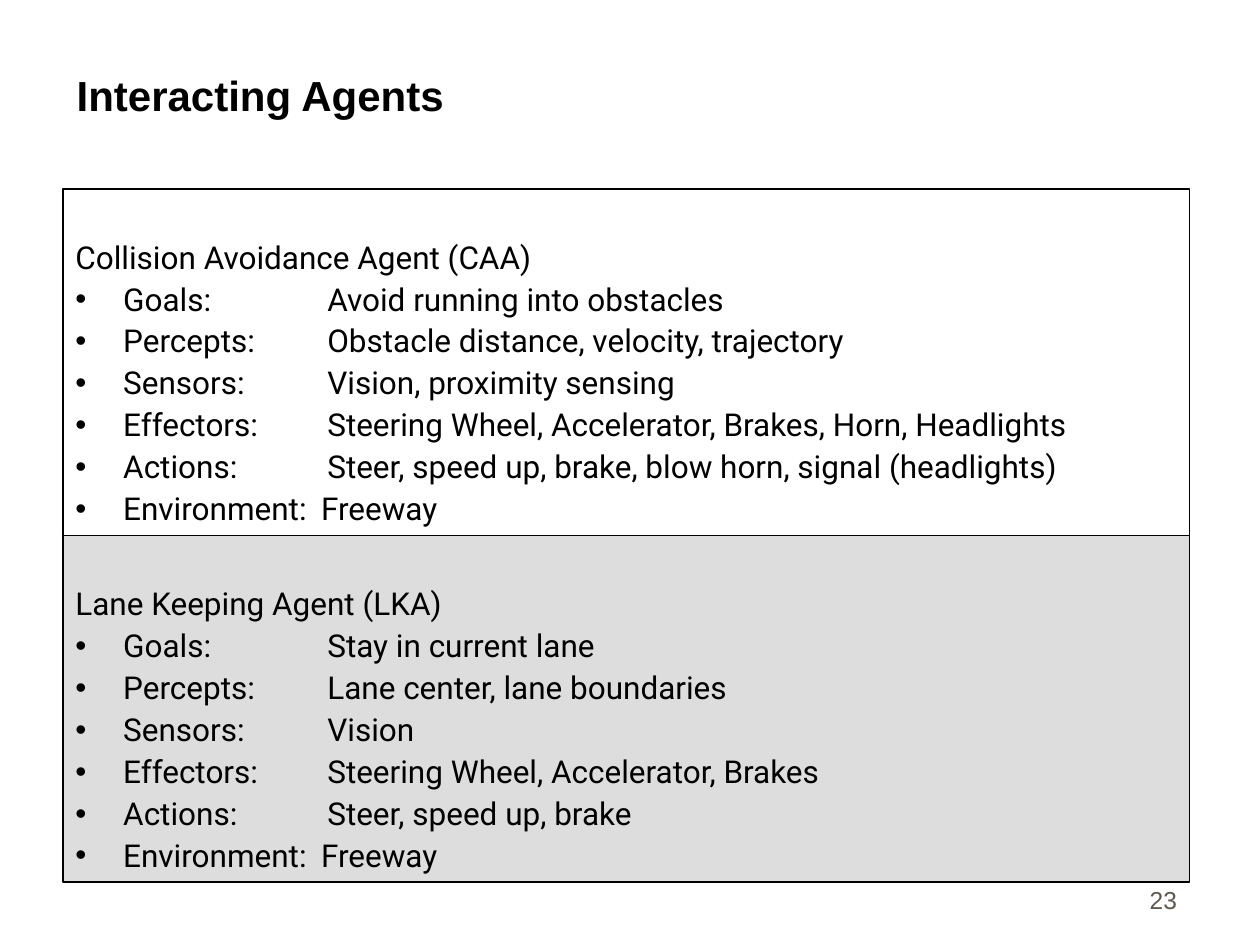
"""Build the Interacting Agents slide with one panel per driving agent."""
from dataclasses import dataclass
from typing import Optional

from lxml.etree import SubElement
from pptx import Presentation
from pptx.dml.color import RGBColor
from pptx.enum.shapes import MSO_SHAPE
from pptx.enum.text import MSO_ANCHOR, PP_ALIGN
from pptx.oxml.ns import qn
from pptx.util import Inches, Pt

COLORS = {"ink": "000000", "shade": "DDDDDD", "page": "5E574E"}
TRAITS = ("Goals", "Percepts", "Sensors", "Effectors", "Actions", "Environment")
PANEL_LEFT, PANEL_TOP, PANEL_WIDTH, PANEL_HEIGHT = 0.5, 1.5, 8.94, 2.75
INDENT = 0.38
VALUE_TAB, ENVIRONMENT_TAB = 2.0, 1.95


@dataclass(frozen=True)
class Agent:
    name: str
    values: tuple[str, ...]
    fill: Optional[str] = None


@dataclass(frozen=True)
class Label:
    text: str
    left: float
    top: float
    width: float
    height: float
    size: float
    color: str
    bold: bool = False
    align: PP_ALIGN = PP_ALIGN.LEFT


AGENTS = (
    Agent("Collision Avoidance Agent (CAA)", (
        "Avoid running into obstacles",
        "Obstacle distance, velocity, trajectory",
        "Vision, proximity sensing",
        "Steering Wheel, Accelerator, Brakes, Horn, Headlights",
        "Steer, speed up, brake, blow horn, signal (headlights)",
        "Freeway",
    )),
    Agent("Lane Keeping Agent (LKA)", (
        "Stay in current lane",
        "Lane center, lane boundaries",
        "Vision",
        "Steering Wheel, Accelerator, Brakes",
        "Steer, speed up, brake",
        "Freeway",
    ), "shade"),
)
LABELS = (
    Label("Interacting Agents", 0.51, 0.25, 8.92, 0.75, 24, "ink", bold=True),
    Label("23", 7.36, 6.81, 2.08, 0.5, 14, "page", align=PP_ALIGN.RIGHT),
)


def rgb(name: str) -> RGBColor:
    """Return the named colour."""
    return RGBColor.from_string(COLORS[name])


def style_font(paragraph, font: str, size: float, color: str, bold: bool = False) -> None:
    """Format every run of a paragraph."""
    for run in paragraph.runs:
        run.font.name = font
        run.font.size = Pt(size)
        run.font.bold = bold
        run.font.color.rgb = rgb(color)


def add_bullet(paragraph, tab: float) -> None:
    """Give a paragraph a hanging bullet and a tab stop for its value."""
    properties = paragraph._p.get_or_add_pPr()
    properties.set("marL", str(Inches(INDENT)))
    properties.set("indent", str(-Inches(INDENT)))
    bullet_color = SubElement(properties, qn("a:buClr"))
    SubElement(bullet_color, qn("a:srgbClr"), val=COLORS["ink"])
    SubElement(properties, qn("a:buFont"), typeface="Arial")
    SubElement(properties, qn("a:buChar"), char="•")
    stops = SubElement(properties, qn("a:tabLst"))
    SubElement(stops, qn("a:tab"), pos=str(Inches(tab)), algn="l")


def draw_label(slide, label: Label) -> None:
    """Draw a single line of text resting on the bottom of its box."""
    box = slide.shapes.add_textbox(Inches(label.left), Inches(label.top),
                                   Inches(label.width), Inches(label.height))
    frame = box.text_frame
    frame.word_wrap = True
    frame.vertical_anchor = MSO_ANCHOR.BOTTOM
    frame.text = label.text
    frame.paragraphs[0].alignment = label.align
    style_font(frame.paragraphs[0], "Arial", label.size, label.color, label.bold)


def draw_agent(slide, agent: Agent, top: float) -> None:
    """Draw an agent's panel with its name and traits."""
    panel = slide.shapes.add_shape(MSO_SHAPE.RECTANGLE, Inches(PANEL_LEFT), Inches(top),
                                   Inches(PANEL_WIDTH), Inches(PANEL_HEIGHT))
    panel.shadow.inherit = False
    panel.line.color.rgb = rgb("ink")
    panel.line.width = Pt(0.75)
    if agent.fill:
        panel.fill.solid()
        panel.fill.fore_color.rgb = rgb(agent.fill)
    else:
        panel.fill.background()

    frame = panel.text_frame
    frame.word_wrap = True
    frame.vertical_anchor = MSO_ANCHOR.TOP
    frame.margin_top = Inches(0.42)
    traits = [f"{trait}:\t{value}" for trait, value in zip(TRAITS, agent.values)]
    frame.text = "\n".join([agent.name, *traits])
    heading, *details = frame.paragraphs
    for paragraph in frame.paragraphs:
        paragraph.alignment = PP_ALIGN.LEFT
        paragraph.line_spacing = 0.9
        paragraph.space_before = Pt(0 if paragraph is heading else 4.5)
        style_font(paragraph, "Roboto", 18, "ink")
    for trait, detail in zip(TRAITS, details):
        add_bullet(detail, ENVIRONMENT_TAB if trait == "Environment" else VALUE_TAB)


def main() -> None:
    """Build and save the slide."""
    presentation = Presentation()
    presentation.slide_width = Inches(10)
    presentation.slide_height = Inches(7.5)
    slide = presentation.slides.add_slide(presentation.slide_layouts[6])
    for index, agent in enumerate(AGENTS):
        draw_agent(slide, agent, PANEL_TOP + index * PANEL_HEIGHT)
    for label in LABELS:
        draw_label(slide, label)
    presentation.save("out.pptx")


if __name__ == "__main__":
    main()
